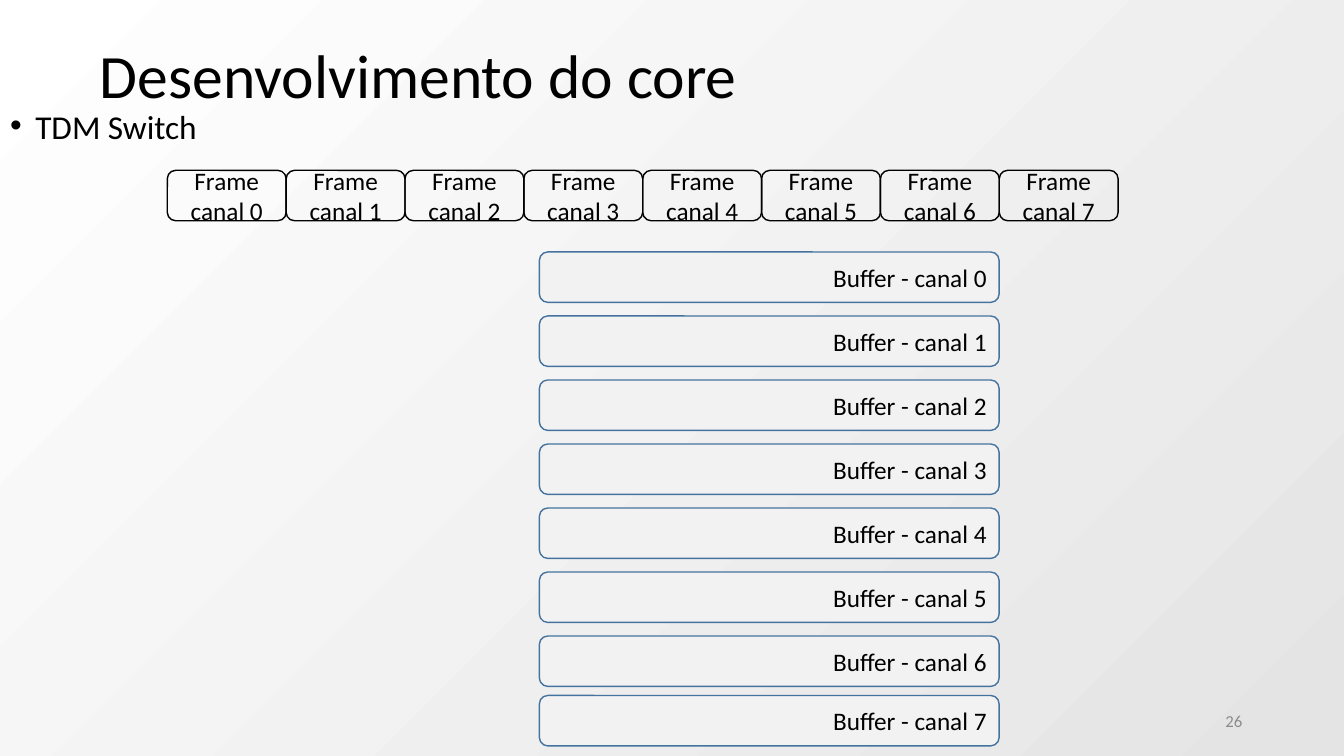
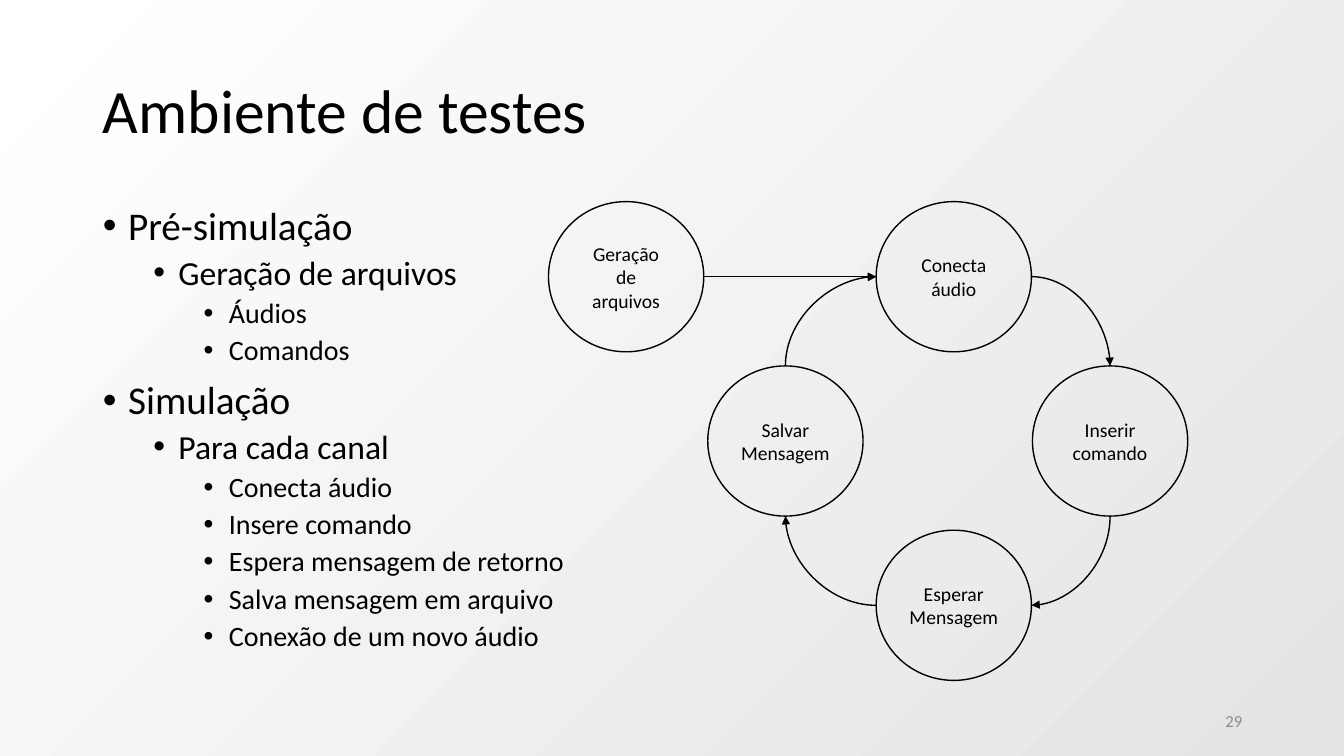
import pptx
import pptx.chart.data
import pptx.dml.color
import pptx.enum.dml
import pptx.enum.shapes
import pptx.enum.text
import pptx.oxml
import pptx.oxml.ns
import pptx.util

Inches = pptx.util.Inches
Pt = pptx.util.Pt
SHAPE = pptx.enum.shapes.MSO_SHAPE
CONNECTOR = pptx.enum.shapes.MSO_CONNECTOR
ALIGN = pptx.enum.text.PP_ALIGN
ANCHOR = pptx.enum.text.MSO_ANCHOR
qn = pptx.oxml.ns.qn

COLORS = {
    "text": "000000",
    "number": "8C8C8C",
    "buffer": "F2F2F2",
    "buffer_line": "43739E",
    "bg_start": "FFFFFF",
    "bg_end": "E4E4E4",
}
FONT = "Calibri"
TITLE_SIZE = 44
LEVELS = [  # size, space before
    (28, 10),
    (24, 5),
    (20, 5),
]
NUMBER_BOX = (9.42, 6.95, 3, 0.4)


def rgb(name):
    return pptx.dml.color.RGBColor.from_string(COLORS[name])


def inches(box):
    return [Inches(v) for v in box]


def place(shape, box):
    names = ("left", "top", "width", "height")
    for name, value in zip(names, inches(box)):
        setattr(shape, name, value)


def write(p, text, size, color="text", **paragraph_format):
    for name, value in paragraph_format.items():
        setattr(p, name, value)
    r = p.add_run()
    r.text = text
    for name, value in {"name": FONT, "size": Pt(size)}.items():
        setattr(r.font, name, value)
    r.font.color.rgb = rgb(color)


def set_frame(tf, anchor):
    values = {
        "word_wrap": True,
        "auto_size": pptx.enum.text.MSO_AUTO_SIZE.NONE,
        "vertical_anchor": anchor,
    }
    for name, value in values.items():
        setattr(tf, name, value)


def set_background(master):
    fill = master.background.fill
    fill.gradient()
    fill.gradient_angle = 315
    for stop, name in zip(fill.gradient_stops, ("bg_start", "bg_end")):
        stop.color.rgb = rgb(name)


def add_slide(prs, title, title_box, number):
    """Add a slide with its title and page number."""
    s = prs.slides.add_slide(prs.slide_layouts[1])
    place(s.shapes.title, title_box)
    tf = s.shapes.title.text_frame
    set_frame(tf, ANCHOR.MIDDLE)
    write(tf.paragraphs[0], title, TITLE_SIZE,
          alignment=ALIGN.LEFT, line_spacing=0.9)

    tf = s.shapes.add_textbox(*inches(NUMBER_BOX)).text_frame
    set_frame(tf, ANCHOR.MIDDLE)
    write(tf.paragraphs[0], number, 12, "number", alignment=ALIGN.RIGHT)
    return s


def fill_list(s, box, items, line_spacing=0.9, size=None):
    """Fill the body placeholder with (level, text) bullets."""
    body = s.placeholders[1]
    place(body, box)
    tf = body.text_frame
    set_frame(tf, ANCHOR.TOP)
    for i, (level, text) in enumerate(items):
        p = tf.paragraphs[0] if i == 0 else tf.add_paragraph()
        p.level = level
        pPr = p._p.get_or_add_pPr()
        pPr.set("marL", str(Inches(0.25 + 0.5 * level)))
        pPr.set("indent", str(Inches(-0.25)))
        for tag, key, value in (("a:buFont", "typeface", "Arial"),
                                ("a:buChar", "char", "•")):
            bullet = pptx.oxml.parse_xml(
                f'<{tag} {pptx.oxml.ns.nsdecls("a")} {key}="{value}"/>')
            pPr.append(bullet)
        level_size, before = LEVELS[level]
        write(p, text, size or level_size, alignment=ALIGN.LEFT,
              line_spacing=line_spacing, space_before=Pt(before if i else 0))


def add_node(s, kind, box, text, size, align=ALIGN.CENTER,
             fill=None, line="text"):
    """Add an outlined shape; each line of text is a paragraph."""
    sp = s.shapes.add_shape(kind, *inches(box))
    sp.shadow.inherit = False
    if fill:
        sp.fill.solid()
        sp.fill.fore_color.rgb = rgb(fill)
    else:
        sp.fill.background()
    sp.line.color.rgb = rgb(line)
    sp.line.width = Pt(1)
    tf = sp.text_frame
    set_frame(tf, ANCHOR.MIDDLE)
    for i, part in enumerate(text.split("\n")):
        p = tf.add_paragraph() if i else tf.paragraphs[0]
        write(p, part, size, alignment=align)


def add_arrow(s, kind, start, end):
    c = s.shapes.add_connector(kind, *inches(start + end))
    c.line.color.rgb = rgb("text")
    c.line.width = Pt(1)
    spPr = c._element.spPr
    ln = c.line._get_or_add_ln()
    ln.append(ln.makeelement(qn("a:tailEnd"), {"type": "triangle"}))
    spPr.append(spPr.makeelement(qn("a:effectLst"), {}))
    return c


def add_quarter_arrow(s, start, end, turn, flip=False):
    """Add a quarter curve, rotated by a number of right angles."""
    w, h = abs(end[0] - start[0]), abs(end[1] - start[1])
    if turn % 2:
        w, h = h, w
    cx, cy = (start[0] + end[0]) / 2, (start[1] + end[1]) / 2
    first, last = (cx - w / 2, cy - h / 2), (cx + w / 2, cy + h / 2)
    if flip:
        first, last = last, first
    c = add_arrow(s, CONNECTOR.CURVE, first, last)
    spPr = c._element.spPr
    spPr.find(qn("a:prstGeom")).set("prst", "curvedConnector2")
    if turn:
        spPr.find(qn("a:xfrm")).set("rot", str(turn * 90 * 60000))


def add_frames(s, box, count=8):
    left, top, width, height = box
    step = width / count
    for i in range(count):
        add_node(s, SHAPE.ROUNDED_RECTANGLE,
                 (left + i * step, top, step, height), f"Frame canal {i}", 18)


def add_buffers(s, box, count=8):
    """Stack the buffers, keeping the last one inside the box."""
    left, top, width, height = box
    bar, step = 0.5, 3.81 / 6
    for i in range(count):
        y = top + min(i * step, height - bar)
        add_node(s, SHAPE.ROUNDED_RECTANGLE, (left, y, width, bar),
                 f"Buffer - canal {i}", 18, ALIGN.RIGHT,
                 "buffer", "buffer_line")


def add_cycle(s, box):
    """Draw the entry state and the four states of the test loop."""
    left, top, width, height = box
    w, h = 1.54, 1.49
    middle, low = top + (height - h) / 2, top + height - h
    hub, right = left + 3.25, left + width - w
    states = {
        "entry": (left, top, "Geração de arquivos"),
        "connect": (hub, top, "Conecta áudio"),
        "insert": (right, middle, "Inserir comando"),
        "wait": (hub, low, "Esperar\nMensagem"),
        "save": (left + 1.58, middle, "Salvar Mensagem"),
    }
    for x, y, text in states.values():
        add_node(s, SHAPE.OVAL, (x, y, w, h), text, 14)

    def side(state, fx, fy):
        x, y, _ = states[state]
        return (x + fx * w, y + fy * h)

    add_arrow(s, CONNECTOR.STRAIGHT,
              side("entry", 1, 0.5), side("connect", 0, 0.5))
    add_quarter_arrow(s, side("connect", 1, 0.5), side("insert", 0.5, 0), 0)
    add_quarter_arrow(s, side("insert", 0.5, 1), side("wait", 1, 0.5), 1)
    add_quarter_arrow(s, side("wait", 0, 0.5), side("save", 0.5, 1), 2)
    add_quarter_arrow(s, side("save", 0.5, 0), side("connect", 0, 0.5),
                      1, flip=True)


def build_switch_slide(prs):
    s = add_slide(prs, "Desenvolvimento do core",
                  (0.89, 0.05, 11.5, 1.45), "26")
    fill_list(s, (0, 1.11, 2.45, 0.39), [(0, "TDM Switch")], 0.7, 23.8)
    add_frames(s, (1.66, 1.69, 9.43, 0.5))
    add_buffers(s, (5.35, 2.5, 4.56, 4.9))


def build_test_slide(prs):
    s = add_slide(prs, "Ambiente de testes", (0.92, 0.4, 11.5, 1.45), "29")
    fill_list(s, (0.92, 2, 5.12, 4.76), [
        (0, "Pré-simulação"),
        (1, "Geração de arquivos"),
        (2, "Áudios"),
        (2, "Comandos"),
        (0, "Simulação"),
        (1, "Para cada canal"),
        (2, "Conecta áudio"),
        (2, "Insere comando"),
        (2, "Espera mensagem de retorno"),
        (2, "Salva mensagem em arquivo"),
        (2, "Conexão de um novo áudio"),
    ])
    add_cycle(s, (5.44, 2, 6.34, 4.75))


def main():
    prs = pptx.Presentation()
    prs.slide_width, prs.slide_height = Inches(13.33), Inches(7.5)
    set_background(prs.slide_master)
    build_switch_slide(prs)
    build_test_slide(prs)
    prs.save("out.pptx")


if __name__ == "__main__":
    main()
